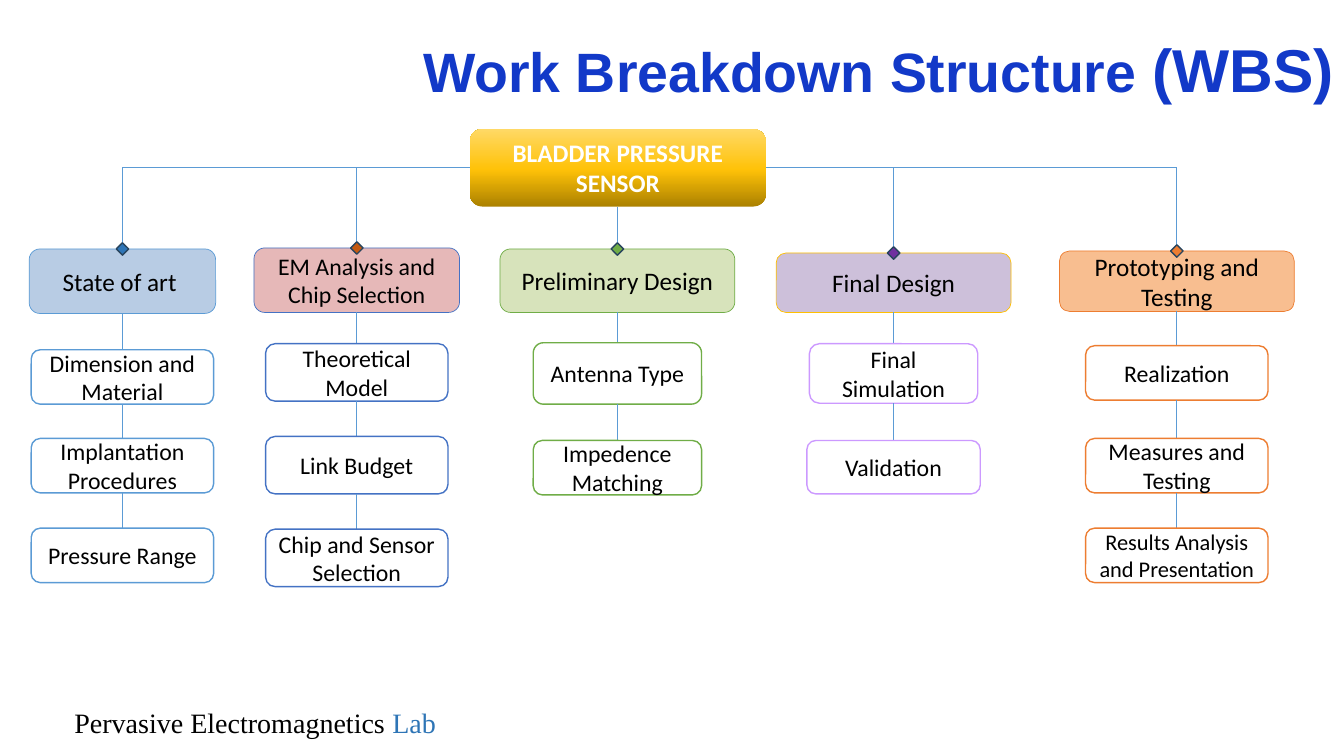
import copy
from typing import NamedTuple

import pptx
import pptx.dml.color
import pptx.enum.shapes
import pptx.enum.text
import pptx.oxml.ns
import pptx.util
from lxml import etree

RGBColor = pptx.dml.color.RGBColor
ShapeType = pptx.enum.shapes.MSO_SHAPE
Align = pptx.enum.text.PP_ALIGN
Anchor = pptx.enum.text.MSO_ANCHOR

SLIDE_WIDTH = pptx.util.Inches(13.33)
SLIDE_HEIGHT = pptx.util.Inches(7.5)
COLUMN = SLIDE_WIDTH / 80
ROW = SLIDE_HEIGHT / 45
DIAMOND_SIZE = 0.74

BLACK = RGBColor(0x00, 0x00, 0x00)
WHITE = RGBColor(0xFF, 0xFF, 0xFF)
TITLE_BLUE = RGBColor(0x12, 0x39, 0xC8)
DEEP_BLUE = RGBColor(0x2E, 0x75, 0xB6)
SKY_BLUE = RGBColor(0x5B, 0x9B, 0xD5)
ROYAL_BLUE = RGBColor(0x44, 0x72, 0xC4)
PALE_BLUE = RGBColor(0xB8, 0xCC, 0xE4)
SLATE = RGBColor(0x28, 0x44, 0x5D)
PINK = RGBColor(0xE6, 0xB8, 0xB8)
RUST = RGBColor(0xC5, 0x5A, 0x11)
GREEN = RGBColor(0x70, 0xAD, 0x47)
PALE_GREEN = RGBColor(0xD7, 0xE3, 0xBB)
LILAC = RGBColor(0xCD, 0xC0, 0xDA)
LAVENDER = RGBColor(0xCC, 0x99, 0xFF)
PURPLE = RGBColor(0x70, 0x30, 0xA0)
GOLD = RGBColor(0xFF, 0xC0, 0x00)
ORANGE = RGBColor(0xED, 0x7D, 0x31)
PEACH = RGBColor(0xF8, 0xBE, 0x90)
ROOT_STOPS = [
    (0, RGBColor(0xAB, 0x81, 0x00)),
    (0.48, RGBColor(0xFF, 0xC2, 0x08)),
    (1, RGBColor(0xFF, 0xD9, 0x66)),
]


class Box(NamedTuple):
    left: float
    top: float
    width: float
    height: float

    @property
    def center(self):
        return self.left + self.width / 2

    @property
    def middle(self):
        return self.top + self.height / 2

    @property
    def right(self):
        return self.left + self.width

    @property
    def bottom(self):
        return self.top + self.height

    def emu(self):
        return (round(self.left * COLUMN), round(self.top * ROW),
                round(self.width * COLUMN), round(self.height * ROW))


class Leaf(NamedTuple):
    text: str
    drop: float
    width: float
    height: float
    size: float = 17


class Branch(NamedTuple):
    text: str
    box: Box
    fill: RGBColor
    outline: RGBColor
    diamond: RGBColor
    leaf_outline: RGBColor
    leaves: list
    size: float = 18


BRANCHES = [
    Branch("State of art ", Box(1.74, 14.82, 11.1, 3.84),
           PALE_BLUE, SKY_BLUE, DEEP_BLUE, SKY_BLUE,
           [Leaf("Dimension and Material", 6, 10.86, 3.24),
            Leaf("Implantation Procedures", 11.28, 10.86, 3.24),
            Leaf("Pressure Range", 16.62, 10.86, 3.24)]),
    Branch("EM Analysis and Chip Selection", Box(15.12, 14.76, 12.24, 3.84),
           PINK, ROYAL_BLUE, RUST, ROYAL_BLUE,
           [Leaf("Theoretical Model", 5.7, 10.86, 3.42),
            Leaf("Link Budget", 11.22, 10.86, 3.42),
            Leaf("Chip and Sensor Selection", 16.74, 10.86, 3.42)], 17),
    Branch("Preliminary Design", Box(29.76, 14.82, 13.98, 3.78),
           PALE_GREEN, GREEN, GREEN, GREEN,
           [Leaf("Antenna Type", 5.58, 10.02, 3.66),
            Leaf("Impedence Matching", 11.4, 10.02, 3.24)]),
    Branch("Final Design", Box(46.2, 15.06, 13.98, 3.54),
           LILAC, GOLD, PURPLE, LAVENDER,
           [Leaf("Final Simulation", 5.4, 10.02, 3.54),
            Leaf("Validation", 11.16, 10.32, 3.18)]),
    Branch("Prototyping and Testing", Box(63.06, 14.94, 13.98, 3.6),
           PEACH, ORANGE, ORANGE, ORANGE,
           [Leaf("Realization", 5.64, 10.86, 3.24),
            Leaf("Measures and Testing", 11.16, 10.86, 3.24),
            Leaf("Results Analysis and Presentation", 16.5, 10.86, 3.24, 16)]),
]


def write_text(shape, *pieces, font="Calibri", size=18, color=BLACK, bold=False,
               align=Align.CENTER, anchor=Anchor.MIDDLE, spacing=None):
    frame = shape.text_frame
    frame.word_wrap = True
    frame.vertical_anchor = anchor
    paragraph = frame.paragraphs[0]
    paragraph.alignment = align
    if spacing:
        paragraph.line_spacing = spacing
    for text, changes in pieces:
        run = paragraph.add_run()
        run.text = text
        run.font.name = font
        run.font.size = pptx.util.Pt(changes.get("size", size))
        run.font.color.rgb = changes.get("color", color)
        run.font.bold = bold


def add_node(slide, box, fill, outline, width, kind=ShapeType.ROUNDED_RECTANGLE):
    shape = slide.shapes.add_shape(kind, *box.emu())
    shape.shadow.inherit = False
    shape.fill.solid()
    shape.fill.fore_color.rgb = fill
    shape.line.color.rgb = outline
    shape.line.width = pptx.util.Pt(width)
    return shape


def add_link(slide, start_x, start_y, end_x, end_y):
    connector = slide.shapes.add_connector(
        pptx.enum.shapes.MSO_CONNECTOR.STRAIGHT,
        round(start_x * COLUMN), round(start_y * ROW),
        round(end_x * COLUMN), round(end_y * ROW))
    connector.line.color.rgb = SKY_BLUE
    connector.line.width = pptx.util.Pt(0.5)
    etree.SubElement(connector._element.spPr, pptx.oxml.ns.qn("a:effectLst"))


def add_heading(slide, box):
    shape = slide.shapes.add_textbox(*box.emu())
    write_text(shape, ("Work Breakdown Structure ", {}), ("(WBS)", {"size": 43.2}),
               font="Arial", size=39.6, color=TITLE_BLUE, bold=True,
               align=Align.RIGHT, spacing=0.9)


def add_footer(slide, box):
    shape = slide.shapes.add_textbox(*box.emu())
    write_text(shape, ("Pervasive Electromagnetics ", {}), ("Lab", {"color": DEEP_BLUE}),
               font="Times New Roman", size=20, align=Align.LEFT, anchor=Anchor.TOP)


def add_root(slide, box):
    shape = slide.shapes.add_shape(ShapeType.ROUNDED_RECTANGLE, *box.emu())
    shape.shadow.inherit = False
    shape.line.fill.background()
    shape.fill.gradient()
    shape.fill.gradient_angle = 90
    first_stop = shape.fill.gradient_stops[0]._gs
    first_stop.addnext(copy.deepcopy(first_stop))
    for stop, (position, color) in zip(shape.fill.gradient_stops, ROOT_STOPS):
        stop.position = position
        stop.color.rgb = color
    write_text(shape, ("BLADDER PRESSURE SENSOR", {}), color=WHITE, bold=True)


def add_branch(slide, branch, box, stem_top):
    add_link(slide, box.center, stem_top, box.center, box.top)
    header = add_node(slide, box, branch.fill, branch.outline, 0.5)
    write_text(header, (branch.text, {}), size=branch.size)
    link_top = box.bottom
    for leaf in branch.leaves:
        leaf_box = Box(box.center - leaf.width / 2, box.top + leaf.drop,
                       leaf.width, leaf.height)
        add_link(slide, box.center, link_top, box.center, leaf_box.top)
        node = add_node(slide, leaf_box, WHITE, branch.leaf_outline, 1)
        write_text(node, (leaf.text, {}), size=leaf.size)
        link_top = leaf_box.bottom
    diamond = Box(box.center - DIAMOND_SIZE / 2, box.top - DIAMOND_SIZE / 2,
                  DIAMOND_SIZE, DIAMOND_SIZE)
    add_node(slide, diamond, branch.diamond, SLATE, 1, ShapeType.FLOWCHART_DECISION)


def add_breakdown(slide, root):
    add_root(slide, root)
    add_link(slide, root.left, root.middle, BRANCHES[0].box.center, root.middle)
    add_link(slide, root.right, root.middle, BRANCHES[-1].box.center, root.middle)
    for branch in BRANCHES:
        below_root = root.left < branch.box.center < root.right
        add_branch(slide, branch, branch.box, root.bottom if below_root else root.middle)


def main():
    presentation = pptx.Presentation()
    presentation.slide_width = SLIDE_WIDTH
    presentation.slide_height = SLIDE_HEIGHT
    slide = presentation.slides.add_slide(presentation.slide_layouts[6])
    add_footer(slide, Box(3.84, 41.7, 28.32, 2.64))
    add_heading(slide, Box(20.94, 0, 59.04, 8.7))
    add_breakdown(slide, Box(27.96, 7.68, 17.64, 4.62))
    presentation.save("out.pptx")


if __name__ == "__main__":
    main()
